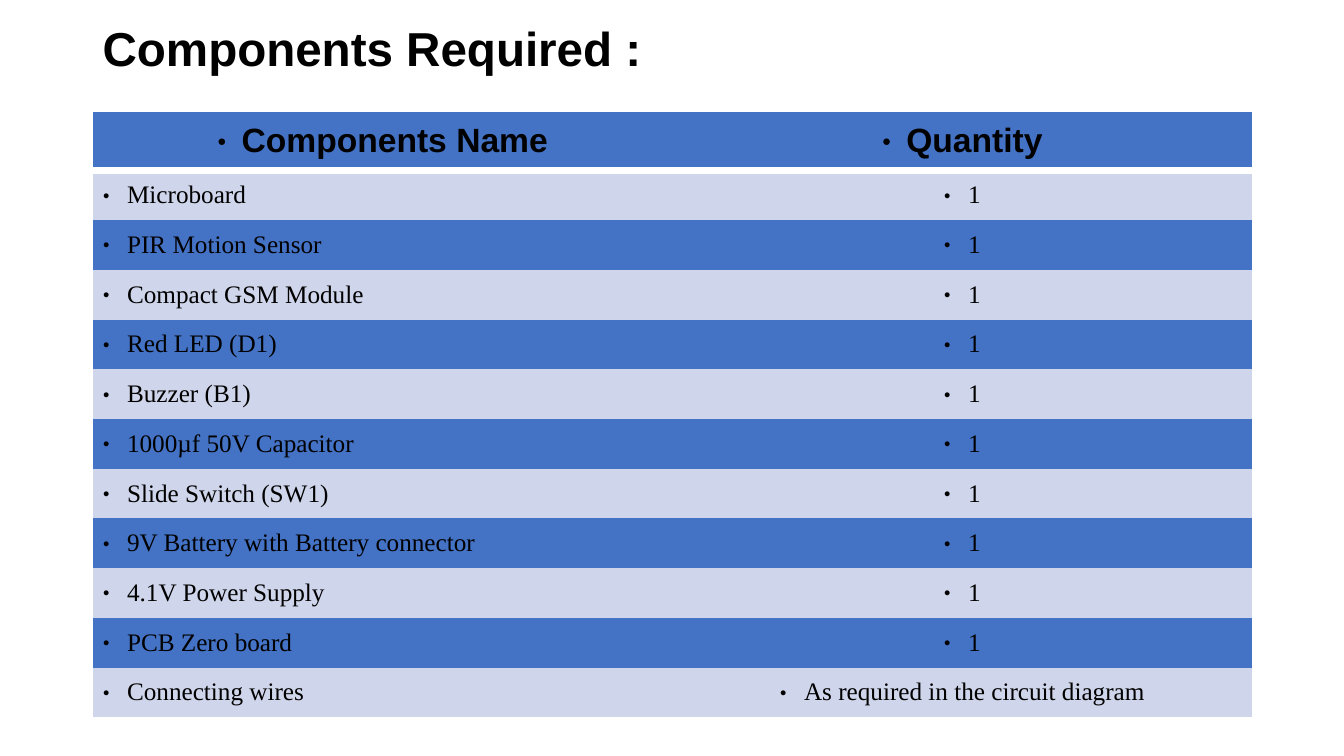
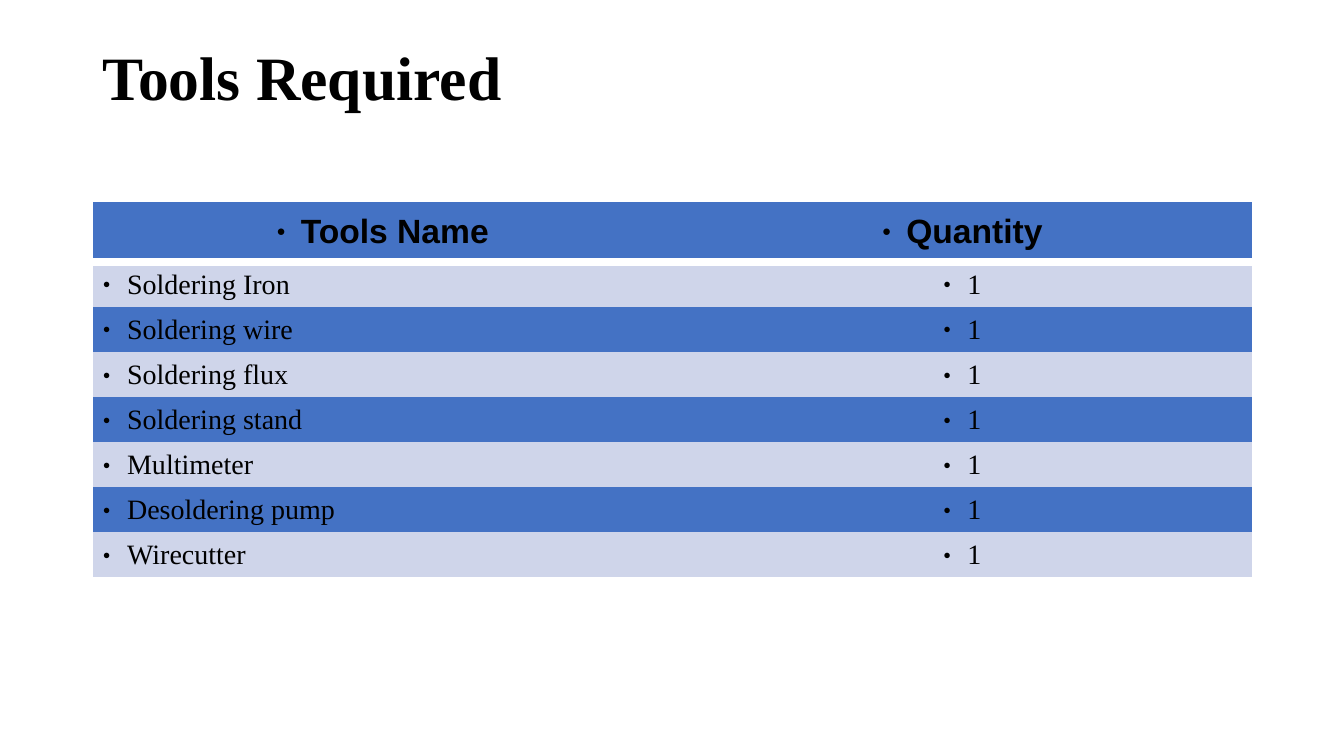
"""Build two slides that list the parts and tools of a project."""
from lxml.etree import SubElement
from pptx import Presentation
from pptx.dml.color import RGBColor
from pptx.enum.text import MSO_ANCHOR, PP_ALIGN
from pptx.oxml.ns import qn
from pptx.util import Inches, Pt

COLORS = {"text": "000000", "dark": "4472C4", "light": "CFD5EA", "rule": "FFFFFF"}
SANS, SERIF = "Arial", "Times New Roman"
LEFT, WIDTH = 0.92, 11.5
INDENT = 0.24
PLAIN = "{2D5ABB26-0587-4C30-8999-92F81FD0307C}"

PARTS = [
    ("Microboard", "1"),
    ("PIR Motion Sensor", "1"),
    ("Compact GSM Module", "1"),
    ("Red LED (D1)", "1"),
    ("Buzzer (B1)", "1"),
    ("1000µf 50V Capacitor", "1"),
    ("Slide Switch (SW1)", "1"),
    ("9V Battery with Battery connector", "1"),
    ("4.1V Power Supply", "1"),
    ("PCB Zero board", "1"),
    ("Connecting wires", "As required in the circuit diagram"),
]
TOOLS = [(name, "1") for name in (
    "Soldering Iron", "Soldering wire", "Soldering flux", "Soldering stand",
    "Multimeter", "Desoldering pump", "Wirecutter")]


def style(para, face, size, bold):
    for run in para.runs:
        run.font.name = face
        run.font.size = Pt(size)
        run.font.bold = bold
        run.font.color.rgb = RGBColor.from_string(COLORS["text"])


def add_title(slide, text, top, height, face, size):
    box = slide.shapes.add_textbox(
        Inches(LEFT), Inches(top), Inches(WIDTH), Inches(height))
    frame = box.text_frame
    frame.word_wrap = True
    frame.vertical_anchor = MSO_ANCHOR.MIDDLE
    frame.margin_bottom = Inches(size * 0.015)
    frame.text = text
    para = frame.paragraphs[0]
    para.line_spacing = 0.8
    style(para, face, size, True)


def add_bullet(para):
    props = para._p.get_or_add_pPr()
    props.set("marL", str(Inches(INDENT)))
    props.set("indent", str(-Inches(INDENT)))
    color = SubElement(props, qn("a:buClr"))
    SubElement(color, qn("a:srgbClr"), val=COLORS["text"])
    SubElement(props, qn("a:buSzPct"), val="45000")
    SubElement(props, qn("a:buFont"), typeface=SANS)
    SubElement(props, qn("a:buChar"), char="●")


def add_rule(cell):
    props = cell._tc.get_or_add_tcPr()
    line = SubElement(props, qn("a:lnB"), w=str(Pt(6)))
    fill = SubElement(line, qn("a:solidFill"))
    SubElement(fill, qn("a:srgbClr"), val=COLORS["rule"])


def fill_cell(cell, text, color, center, face, size, bold):
    cell.fill.solid()
    cell.fill.fore_color.rgb = RGBColor.from_string(COLORS[color])
    cell.vertical_anchor = MSO_ANCHOR.MIDDLE
    cell.text_frame.text = text
    para = cell.text_frame.paragraphs[0]
    para.alignment = PP_ALIGN.CENTER if center else PP_ALIGN.LEFT
    add_bullet(para)
    style(para, face, size, bold)


def add_list(slide, head, items, top, height, first, size):
    frame = slide.shapes.add_table(
        len(items) + 1, 2, Inches(LEFT), Inches(top), Inches(WIDTH), Inches(height))
    frame._element.xpath(".//a:tableStyleId")[0].text = PLAIN
    table = frame.table
    table.first_row = table.horz_banding = False
    step = (height - first) / len(items)
    for index, row in enumerate(table.rows):
        row.height = Inches(step if index else first)
    for col, text in enumerate((head, "Quantity")):
        cell = table.cell(0, col)
        add_rule(cell)
        fill_cell(cell, text, "dark", True, SANS, 24, True)
    for index, item in enumerate(items, 1):
        color = "light" if index % 2 else "dark"
        for col, text in enumerate(item):
            fill_cell(table.cell(index, col), text, color, col == 1, SERIF, size, False)


def main():
    deck = Presentation()
    deck.slide_width, deck.slide_height = Inches(13.33), Inches(7.5)
    blank = deck.slide_layouts[6]

    slide = deck.slides.add_slide(blank)
    add_title(slide, "Components Required :", 0.17, 1.16, SANS, 34)
    add_list(slide, "Components Name", PARTS, 1.11, 6.01, 0.58, 18)

    slide = deck.slides.add_slide(blank)
    add_title(slide, "Tools Required", 0.4, 1.45, SERIF, 44)
    add_list(slide, "Tools Name", TOOLS, 2, 3.73, 0.6, 20)

    deck.save("out.pptx")


if __name__ == "__main__":
    main()
